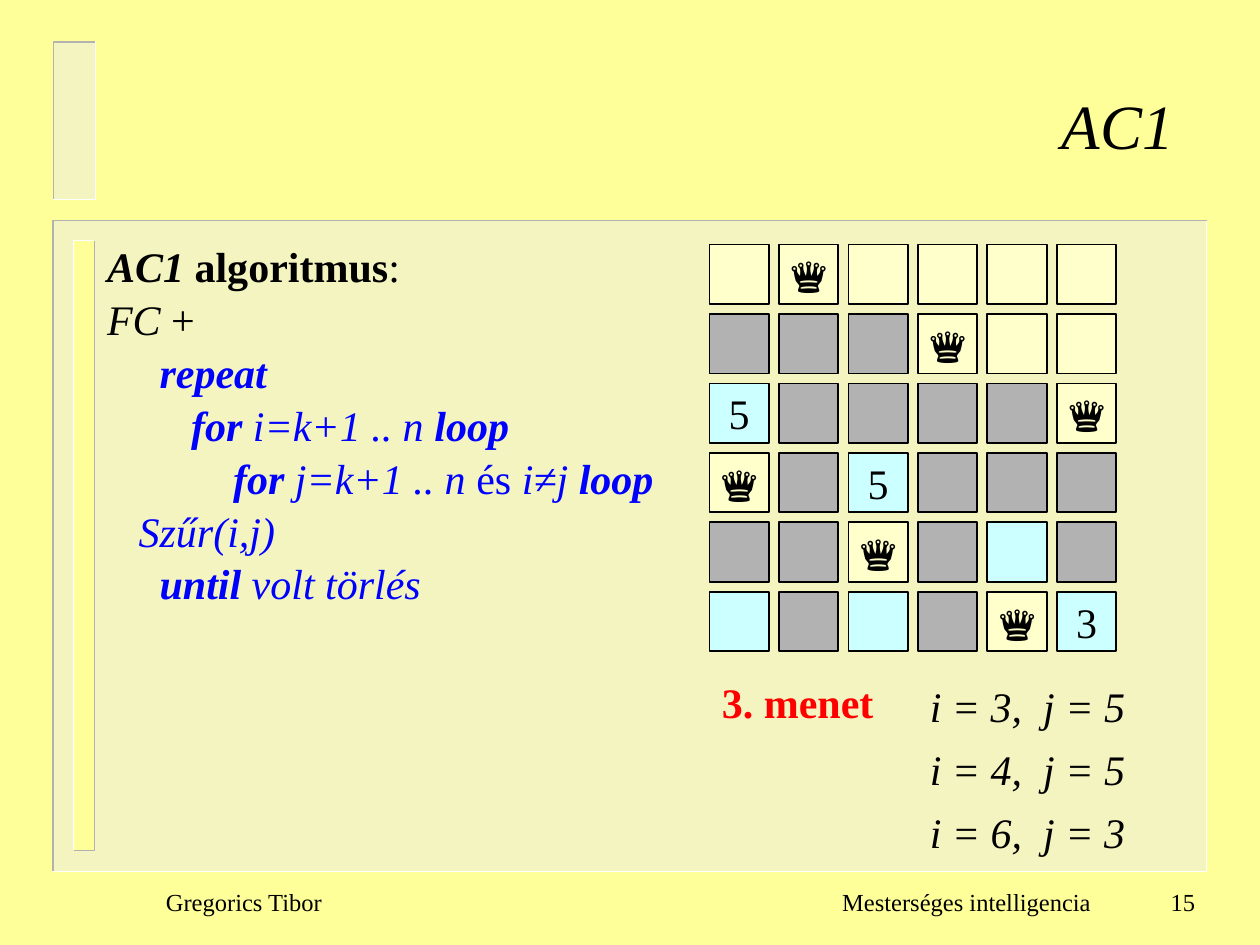
from lxml import etree
from pptx import Presentation
from pptx.dml.color import RGBColor
from pptx.enum.shapes import MSO_SHAPE
from pptx.enum.text import MSO_ANCHOR, MSO_AUTO_SIZE, PP_ALIGN
from pptx.oxml.ns import qn
from pptx.util import Pt

RECT = MSO_SHAPE.RECTANGLE
MIDDLE = MSO_ANCHOR.MIDDLE
FIXED = MSO_AUTO_SIZE.NONE
LEFT, CENTER, RIGHT = PP_ALIGN.LEFT, PP_ALIGN.CENTER, PP_ALIGN.RIGHT
FONT = "Times New Roman"
BLACK, WHITE, GRAY = "000000", "FFFFFF", "B2B2B2"
BLUE, RED, YELLOW, PALE = "0000FF", "FF0000", "FFFF99", "EAEAEA"
CREAM, CYAN = "FFFFCC", "CCFFFF"


def paint(fill, color):
    fill.solid()
    fill.fore_color.rgb = RGBColor.from_string(color)


def write(para, text, size=24, color=BLACK, bold=False, italic=False, align=LEFT):
    para.alignment = align
    run = para.add_run()
    run.text = text
    font = run.font
    font.name, font.size = FONT, Pt(size)
    font.bold, font.italic = bold, italic
    paint(font.fill, color)


deck = Presentation()
deck.slide_width, deck.slide_height = Pt(720), Pt(540)
slide = deck.slides.add_slide(deck.slide_layouts[1])
shapes = slide.shapes
paint(slide.background.fill, YELLOW)

panels = [
    (30.5, 126, 659, 372, PALE, GRAY, WHITE),
    (42, 137.5, 12, 348.5, YELLOW, WHITE, GRAY),
    (30.5, 24, 24, 90, PALE, GRAY, WHITE),
]
for left, top, width, height, tone, upper, lower in panels:
    panel = shapes.add_shape(RECT, Pt(left), Pt(top), Pt(width), Pt(height))
    panel.shadow.inherit = False
    paint(panel.fill, tone)
    if tone == PALE:
        color = panel.element.spPr.find(".//" + qn("a:srgbClr"))
        etree.SubElement(color, qn("a:alpha")).set("val", "50000")
    panel.line.fill.background()
    x, y = Pt(left), Pt(top)
    right, base = Pt(left + width), Pt(top + height)
    for corner, edge in [((x, y), upper), ((right, base), lower)]:
        path = shapes.build_freeform(right, y)
        path.add_line_segments([corner, (x, base)], close=False)
        bevel = path.convert_to_shape()
        bevel.shadow.inherit = False
        bevel.fill.background()
        paint(bevel.line.fill, edge)
        bevel.line.width = Pt(1)

title = shapes.title
title.left, title.top, title.width, title.height = Pt(66), Pt(27.5), Pt(612), Pt(87)
frame = title.text_frame
frame.vertical_anchor = MIDDLE
frame.auto_size = FIXED
write(frame.paragraphs[0], "AC1", size=36, italic=True, align=RIGHT)
shapes.element.append(title.element)

body = slide.placeholders[1]
body.left, body.top, body.width, body.height = Pt(54), Pt(132.5), Pt(334), Pt(211)
frame = body.text_frame
frame.auto_size = FIXED
steps = [
    (0, BLACK, [("AC1", "bi"), (" algoritmus", "b"), (":", "")]),
    (0, BLACK, [("FC", "i"), (" +", "")]),
    (30, BLUE, [("repeat", "bi")]),
    (48, BLUE, [("for ", "bi"), ("i=k+1 .. n ", "i"), ("loop", "bi")]),
    (72, BLUE, [("for ", "bi"), ("j=k+1 .. n", "i"), (" és ", ""),
                ("i≠j ", "i"), ("loop", "bi")]),
    (18, BLUE, [("Szűr(i,j)", "i")]),
    (30, BLUE, [("until", "bi"), (" volt törlés", "i")]),
]
for row, (indent, color, parts) in enumerate(steps):
    para = frame.add_paragraph() if row else frame.paragraphs[0]
    para.space_before = Pt(0)
    para.line_spacing = 1.05
    props = para._p.get_or_add_pPr()
    props.set("marL", str(Pt(indent)))
    props.set("indent", "0")
    etree.SubElement(props, qn("a:buNone"))
    for text, style in parts:
        write(para, text, color=color, bold="b" in style, italic="i" in style)
shapes.element.append(body.element)

board = ["-Q----", "xxxQ--", "5xxxxQ", "Qx5xxx", "xxQxox", "oxoxQ3"]
tones = {"-": CREAM, "Q": CREAM, "x": GRAY}
side, pitch = 34, 39.7
for row, marks in enumerate(board):
    for col, mark in enumerate(marks):
        cell = shapes.add_shape(RECT, Pt(405.4 + col * pitch),
                                Pt(139.7 + row * pitch), Pt(side), Pt(side))
        cell.shadow.inherit = False
        paint(cell.fill, tones.get(mark, CYAN))
        paint(cell.line.fill, BLACK)
        cell.line.width = Pt(1)
        frame = cell.text_frame
        frame.word_wrap = False
        frame.vertical_anchor = MIDDLE
        if mark == "Q":
            write(frame.paragraphs[0], "♛", size=28, align=CENTER)
        elif mark.isdigit():
            write(frame.paragraphs[0], mark, align=CENTER)

labels = [
    (405.4, 383, 115, "3. menet", dict(color=RED, bold=True)),
    (87.7, 497.5, 150, "Gregorics Tibor", dict(size=14)),
    (450, 497.5, 180.6, "Mesterséges intelligencia", dict(size=14, align=RIGHT)),
    (540, 497.5, 150, "15", dict(size=14, align=RIGHT)),
]
pairs = [(3, 5), (4, 5), (6, 3)]
for row, (i, j) in enumerate(pairs):
    labels.append((524.2, 385.2 + row * 36, 126, f"i = {i},  j = {j}",
                   dict(italic=True)))
for left, top, width, text, style in labels:
    box = shapes.add_textbox(Pt(left), Pt(top), Pt(width), Pt(36))
    frame = box.text_frame
    frame.word_wrap = True
    frame.vertical_anchor = MIDDLE
    write(frame.paragraphs[0], text, **style)

deck.save("out.pptx")
